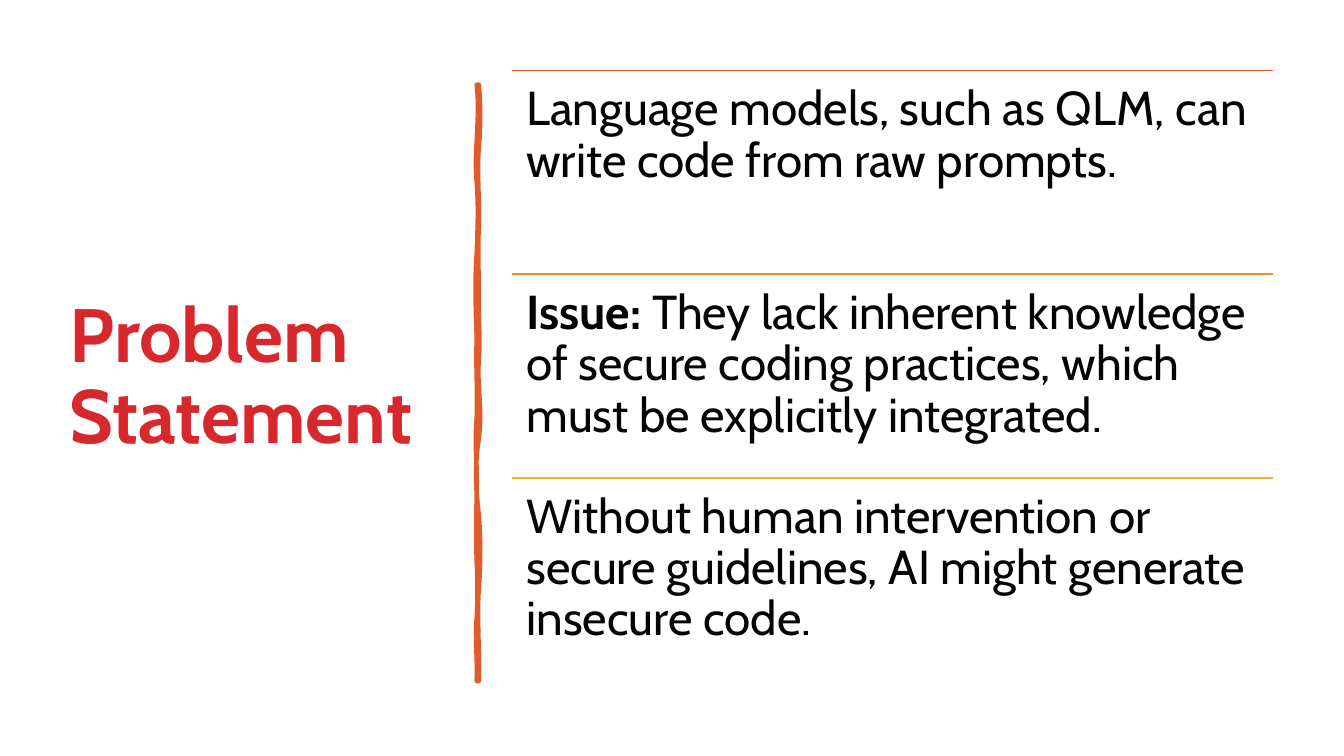
from dataclasses import dataclass

from lxml.etree import SubElement
from pptx import Presentation
from pptx.dml.color import RGBColor as Rgb
from pptx.enum.shapes import MSO_CONNECTOR as Connector
from pptx.enum.text import MSO_ANCHOR as Anchor, MSO_AUTO_SIZE as AutoSize, PP_ALIGN as Align
from pptx.oxml.ns import qn
from pptx.util import Pt


@dataclass(frozen=True)
class Theme:
    font: str = "Cabin"
    title_size: int = 54
    body_size: int = 34
    title: str = "D7282E"
    body: str = "040306"
    accent: str = "E05D29"
    rules: tuple = ("E05D29", "EA8B2D", "EAB829")


@dataclass(frozen=True)
class Box:
    left: float
    top: float
    width: float
    height: float

    def lengths(self):
        return [Pt(v) for v in (self.left, self.top, self.width, self.height)]


THEME = Theme()
TITLE_BOX = Box(49.7, 50.4, 269.3, 440)
DIVIDER_BOX = Box(340.56, 60.5, 1.44, 426)
STATEMENTS_BOX = Box(365.8, 50.4, 543.6, 436.4)

# Each statement is a list of (text, bold) runs.
STATEMENTS = [
    [("Language models, such as QLM, can write code from raw prompts.", False)],
    [("Issue:", True),
     (" They lack inherent knowledge of secure coding practices, "
      "which must be explicitly integrated.", False)],
    [("Without human intervention or secure guidelines, "
      "AI might generate insecure code.", False)],
]

# Brush edges from top to bottom: (end of the wave, first pull, second pull).
RIGHT_WAVES = [(45, 1.4, 1.4), (102, -1.4, 0.7), (151, -0.7, 0), (196, -0.7, 1.4),
               (253, -1.4, 2.9), (307, -2.9, -2.2), (360, 1.4, 1.4), (426, -1.4, 0.7)]
LEFT_WAVES = [(70, 2.9, -2.2), (120, 1.4, 0.7), (181, -1.4, -0.7), (238, -0.7, 0.7),
              (283, -1.4, 0), (341, 0, -0.7), (381, 0.7, 0.7), (426, -1.4, 0.7)]
WAVE_STEPS = 8


def apply_format(target, **values):
    for name, value in values.items():
        setattr(target, name, value)


def write_runs(paragraph, runs, size, color):
    for text, bold in runs:
        run = paragraph.add_run()
        run.text = text
        apply_format(run.font, name=THEME.font, size=Pt(size), bold=bold)
        run.font.color.rgb = Rgb.from_string(color)


def add_title(slide, box):
    title = slide.shapes.title
    apply_format(title, **dict(zip(("left", "top", "width", "height"), box.lengths())))
    apply_format(title.text_frame, auto_size=AutoSize.NONE, word_wrap=True,
                 vertical_anchor=Anchor.MIDDLE, margin_left=0, margin_top=0,
                 margin_right=0, margin_bottom=0)
    paragraph = title.text_frame.paragraphs[0]
    apply_format(paragraph, alignment=Align.LEFT, line_spacing=0.9)
    write_runs(paragraph, [("Problem Statement", True)], THEME.title_size, THEME.title)


def brush_edge(x, top, waves):
    """Return the points of a wavy vertical edge, sampled from cubic curves."""
    points = [(Pt(x), Pt(top))]
    start = 0
    for end, first, second in waves:
        for step in range(1, WAVE_STEPS + 1):
            t = step / WAVE_STEPS
            pull = 3 * t * (1 - t) * ((1 - t) * first + t * second)
            points.append((Pt(x + pull), Pt(top + start + t * (end - start))))
        start = end
    return points


def add_brush_divider(slide, box):
    right = brush_edge(box.left + box.width, box.top, RIGHT_WAVES)
    left = brush_edge(box.left, box.top, LEFT_WAVES)
    outline = right + left[::-1]
    builder = slide.shapes.build_freeform(*outline[0], scale=1.0)
    builder.add_line_segments(outline[1:], close=True)
    brush = builder.convert_to_shape()
    brush.shadow.inherit = False
    brush.fill.solid()
    brush.fill.fore_color.rgb = Rgb.from_string(THEME.accent)
    brush.line.color.rgb = Rgb.from_string(THEME.accent)
    brush.line.width = Pt(3.25)
    SubElement(brush.line._get_or_add_ln(), qn("a:round"))


def add_statement(slide, box, runs, rule_color):
    left, top, width, height = box.lengths()
    rule = slide.shapes.add_connector(Connector.STRAIGHT, left, top, left + width, top)
    rule.line.color.rgb = Rgb.from_string(rule_color)
    rule.line.width = Pt(1)
    SubElement(rule._element.spPr, qn("a:effectLst"))

    frame = slide.shapes.add_textbox(left, top, width, height).text_frame
    inset = Pt(10.2)
    apply_format(frame, word_wrap=True, vertical_anchor=Anchor.TOP, margin_left=inset,
                 margin_top=inset, margin_right=inset, margin_bottom=inset)
    paragraph = frame.paragraphs[0]
    apply_format(paragraph, alignment=Align.LEFT, line_spacing=0.9, space_after=Pt(12))
    write_runs(paragraph, runs, THEME.body_size, THEME.body)


def add_statements(slide, box):
    row_height = box.height / len(STATEMENTS)
    for row, (runs, color) in enumerate(zip(STATEMENTS, THEME.rules)):
        row_box = Box(box.left, box.top + row * row_height, box.width, row_height)
        add_statement(slide, row_box, runs, color)


def main():
    deck = Presentation()
    apply_format(deck, slide_width=Pt(960), slide_height=Pt(540))
    slide = deck.slides.add_slide(deck.slide_layouts.get_by_name("Title Only"))
    add_title(slide, TITLE_BOX)
    add_brush_divider(slide, DIVIDER_BOX)
    add_statements(slide, STATEMENTS_BOX)
    deck.save("out.pptx")


if __name__ == "__main__":
    main()
